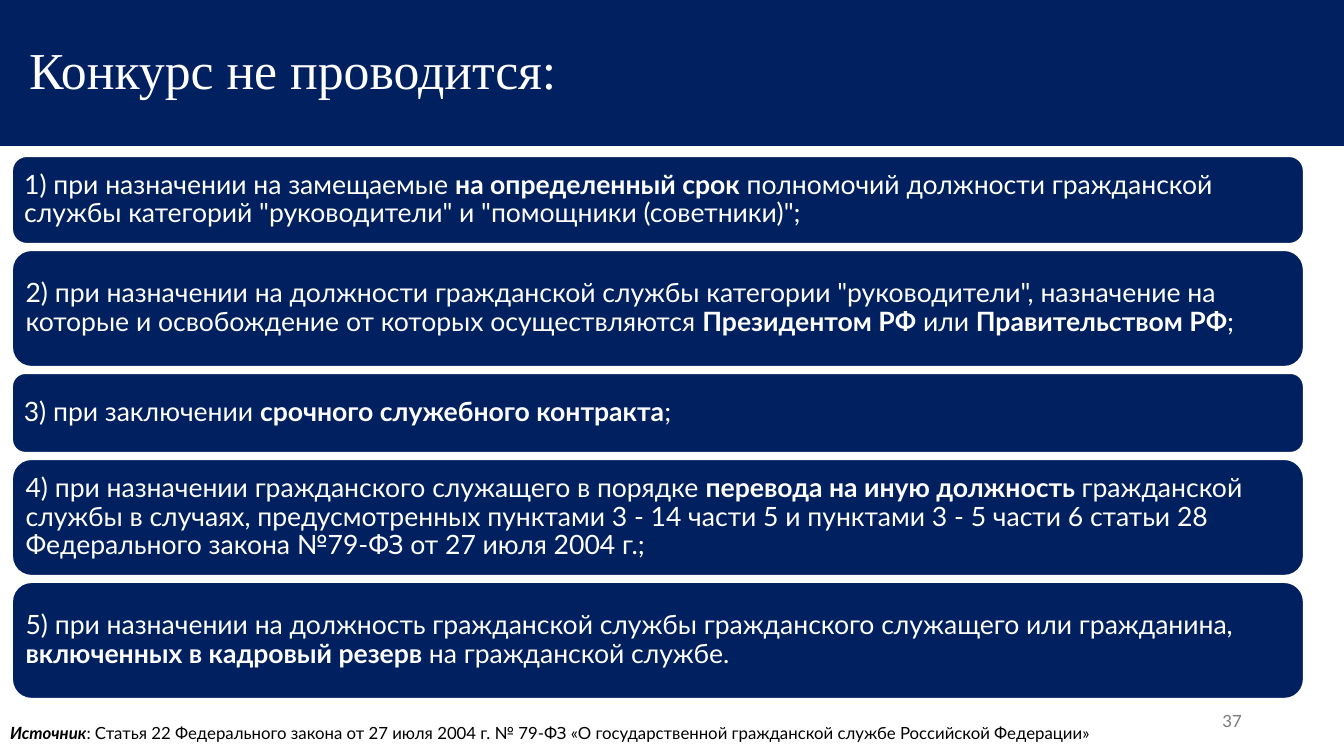
from dataclasses import dataclass

from pptx import Presentation
from pptx import util as u
from pptx.dml.color import RGBColor
from pptx.enum import shapes, text

NAVY, WHITE, BLACK, GREY = "002060", "FFFFFF", "000000", "797979"
LEFT, RIGHT = text.PP_ALIGN.LEFT, text.PP_ALIGN.RIGHT
TOP, MIDDLE = text.MSO_ANCHOR.TOP, text.MSO_ANCHOR.MIDDLE
FIRST_TOP, GAP = 156, 6


@dataclass(frozen=True)
class Run:
    words: str
    bold: bool = False
    italic: bool = False


@dataclass(frozen=True)
class Style:
    size: int
    color: str
    font: str = "Lato"
    align: text.PP_ALIGN = LEFT
    anchor: text.MSO_ANCHOR = MIDDLE
    spacing: float = 1.0
    insets: tuple[int, int, int, int] = (10, 5, 10, 5)


@dataclass(frozen=True)
class Case:
    height: int
    runs: tuple[Run, ...]


TITLE = Style(37, WHITE, "Times New Roman", spacing=0.9, insets=(29, 5, 10, 5))
CASE = Style(19, WHITE, spacing=0.9, insets=(8, 8, 8, 8))
NUMBER = Style(12, GREY, align=RIGHT)
SOURCE = Style(12, BLACK, anchor=TOP)

CASES = (
    Case(88, (
        Run("1) при назначении на замещаемые "),
        Run("на определенный срок", bold=True),
        Run(" полномочий должности гражданской службы категорий "
            '"руководители" и "помощники (советники)";'),
    )),
    Case(117, (
        Run('2) при назначении на должности гражданской службы категории "руководители", '
            "назначение на которые и освобождение от которых осуществляются "),
        Run("Президентом РФ", bold=True),
        Run(" или "),
        Run("Правительством РФ", bold=True),
        Run(";"),
    )),
    Case(80, (
        Run("3) при заключении "),
        Run("срочного служебного контракта", bold=True),
        Run(";"),
    )),
    Case(117, (
        Run("4) при назначении гражданского служащего в порядке "),
        Run("перевода на иную должность ", bold=True),
        Run("гражданской службы в случаях, предусмотренных пунктами 3 - 14 части 5 "
            "и пунктами 3 - 5 части 6 статьи 28 Федерального закона №79-ФЗ от 27 июля 2004 г.;"),
    )),
    Case(117, (
        Run("5) при назначении на должность гражданской службы "
            "гражданского служащего или гражданина, "),
        Run("включенных в кадровый резерв ", bold=True),
        Run("на гражданской службе."),
    )),
)

SOURCE_RUNS = (
    Run("Источник", bold=True, italic=True),
    Run(": Статья 22 Федерального закона от 27 июля 2004 г. № 79-ФЗ "
        "«О государственной гражданской службе Российской Федерации»"),
)


def px(length: int) -> u.Emu:
    return u.Emu(round(length * 914400 / 100.8))


def rgb(color: str) -> RGBColor:
    return RGBColor.from_string(color)


def apply(target, values: dict) -> None:
    for name, value in values.items():
        setattr(target, name, value)


def paint(shape, color: str) -> None:
    shape.fill.solid()
    shape.fill.fore_color.rgb = rgb(color)


def write(shape, runs: tuple[Run, ...], style: Style) -> None:
    frame = shape.text_frame
    left, top, right, bottom = map(px, style.insets)
    apply(frame, {
        "word_wrap": True, "auto_size": text.MSO_AUTO_SIZE.NONE,
        "vertical_anchor": style.anchor, "margin_left": left,
        "margin_top": top, "margin_right": right, "margin_bottom": bottom,
    })
    paragraph = frame.paragraphs[0]
    apply(paragraph, {"alignment": style.align, "line_spacing": style.spacing})
    for part in runs:
        run = paragraph.add_run()
        run.text = part.words
        apply(run.font, {"name": style.font, "size": u.Pt(style.size),
                         "bold": part.bold, "italic": part.italic})
        run.font.color.rgb = rgb(style.color)


def add_case(slide, case: Case, top: int) -> None:
    panel = slide.shapes.add_shape(
        shapes.MSO_SHAPE.ROUNDED_RECTANGLE, px(12), px(top), px(1292), px(case.height))
    panel.shadow.inherit = False
    paint(panel, NAVY)
    panel.line.color.rgb = rgb(WHITE)
    panel.line.width = u.Pt(1.5)
    write(panel, case.runs, CASE)


def main() -> None:
    deck = Presentation()
    apply(deck, {"slide_width": px(1344), "slide_height": px(756)})
    slide = deck.slides.add_slide(deck.slide_layouts.get_by_name("Title Only"))

    title = slide.shapes.title
    apply(title, {"left": 0, "top": 0, "width": px(1344), "height": px(146)})
    paint(title, NAVY)
    write(title, (Run("Конкурс не проводится:"),), TITLE)

    page_number = slide.shapes.add_textbox(px(950), px(701), px(302), px(40))
    write(page_number, (Run("37"),), NUMBER)
    source = slide.shapes.add_textbox(px(0), px(718), px(1344), px(30))
    write(source, SOURCE_RUNS, SOURCE)

    top = FIRST_TOP
    for case in CASES:
        add_case(slide, case, top)
        top += case.height + GAP

    deck.save("out.pptx")


if __name__ == "__main__":
    main()
